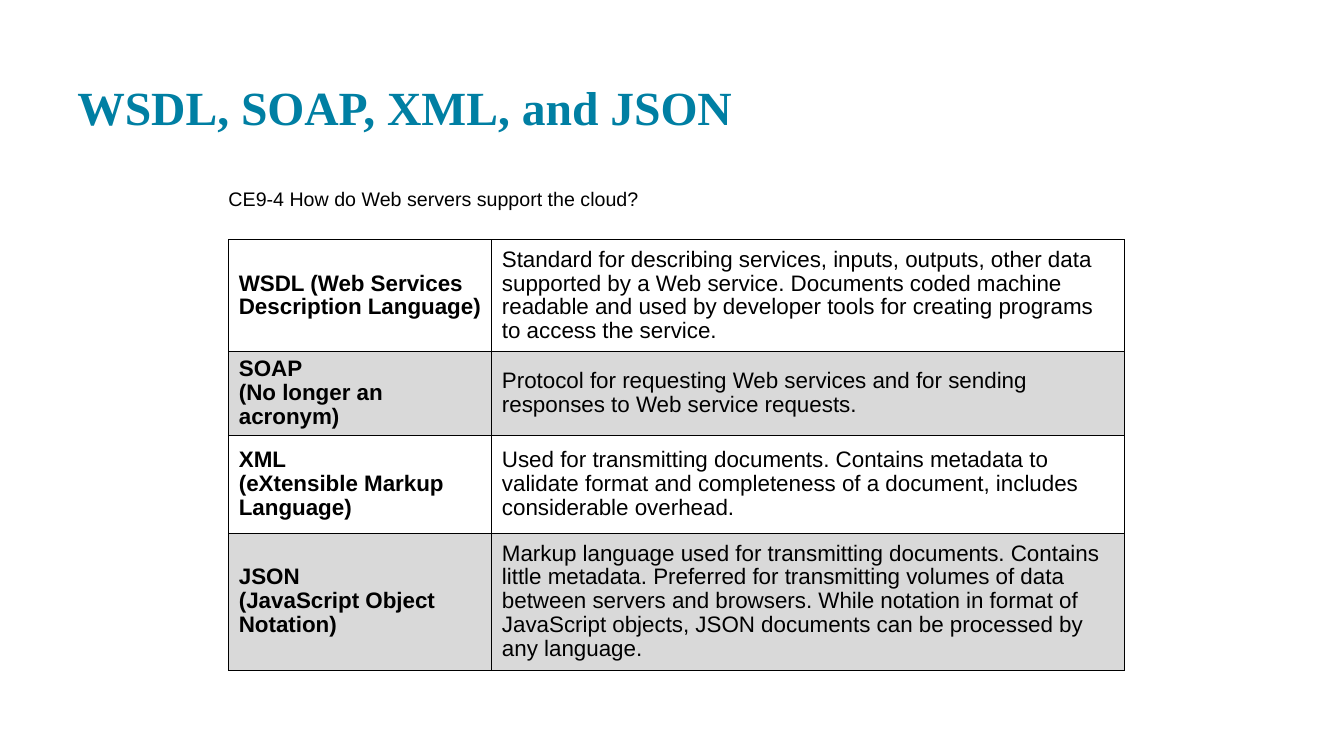
"""Build a slide that defines WSDL, SOAP, XML and JSON in a table."""
import lxml.etree
import pptx
import pptx.dml.color
import pptx.enum.text
import pptx.oxml
import pptx.oxml.ns
import pptx.util

COLORS = {"title": "007FA3", "text": "000000", "band": "D9D9D9", "border": "000000"}
COLUMNS, ROWS = 80, 45
DEFINITIONS = [
    ("WSDL (Web Services\nDescription Language)",
     "Standard for describing services, inputs, outputs, other data supported by a Web service. "
     "Documents coded machine readable and used by developer tools for creating programs to access "
     "the service."),
    ("SOAP\n(No longer an acronym)",
     "Protocol for requesting Web services and for sending responses to Web service requests."),
    ("XML\n(eXtensible Markup Language)",
     "Used for transmitting documents. Contains metadata to validate format and completeness of a "
     "document, includes considerable overhead."),
    ("JSON\n(JavaScript Object Notation)",
     "Markup language used for transmitting documents. Contains little metadata. Preferred for "
     "transmitting volumes of data between servers and browsers. While notation in format of "
     "JavaScript objects, JSON documents can be processed by any language."),
]


class SlideBuilder:
    """Hold the style and the current slide."""

    def __init__(self, presentation):
        self.column = presentation.slide_width / COLUMNS
        self.row = presentation.slide_height / ROWS
        self.slide = presentation.slides.add_slide(presentation.slide_layouts[1])

    def box(self, left, top, width, height):
        return (round(left * self.column), round(top * self.row),
                round(width * self.column), round(height * self.row))

    def format_text(self, text_frame, font, size, color, bold=False, spacing=1.0):
        for paragraph in text_frame.paragraphs:
            paragraph.alignment = pptx.enum.text.PP_ALIGN.LEFT
            paragraph.line_spacing = spacing
            paragraph.space_before = pptx.util.Pt(0)
            for run in paragraph.runs:
                run.font.name = font
                run.font.size = pptx.util.Pt(size)
                run.font.bold = bold
                run.font.color.rgb = pptx.dml.color.RGBColor.from_string(COLORS[color])

    def placeholder(self, index, text, box, anchor, **style):
        shape = self.slide.placeholders[index]
        shape.left, shape.top, shape.width, shape.height = self.box(*box)
        text_frame = shape.text_frame
        text_frame.text = text
        text_frame.word_wrap = True
        text_frame.auto_size = pptx.enum.text.MSO_AUTO_SIZE.NONE
        text_frame.vertical_anchor = anchor
        for side in ("left", "right", "top", "bottom"):
            setattr(text_frame, f"margin_{side}", pptx.util.Inches(0.1))
        self.format_text(text_frame, **style)
        return shape

    def title(self, text, box):
        self.placeholder(0, text, box, pptx.enum.text.MSO_ANCHOR.BOTTOM,
                         font="Times New Roman", size=34, color="title", bold=True)

    def subtitle(self, text, box):
        shape = self.placeholder(1, text, box, pptx.enum.text.MSO_ANCHOR.TOP,
                                 font="Arial", size=14, color="text")
        properties = shape.text_frame.paragraphs[0]._p.get_or_add_pPr()
        properties.set("marL", "0")
        properties.set("indent", "0")
        lxml.etree.SubElement(properties, pptx.oxml.ns.qn("a:buNone"))

    def border(self, cell):
        properties = cell._tc.get_or_add_tcPr()
        for side in ("lnL", "lnR", "lnT", "lnB"):
            properties.append(pptx.oxml.parse_xml(
                f'<a:{side} {pptx.oxml.ns.nsdecls("a")} w="{pptx.util.Pt(1)}"><a:solidFill>'
                f'<a:srgbClr val="{COLORS["border"]}"/></a:solidFill></a:{side}>'))

    def table(self, records, left, top, widths, heights):
        frame = self.slide.shapes.add_table(
            len(heights), len(widths), *self.box(left, top, sum(widths), sum(heights)))
        table = frame.table
        table.first_row = table.horz_banding = False
        for column, width in zip(table.columns, widths):
            column.width = round(width * self.column)
        for row, height in zip(table.rows, heights):
            row.height = round(height * self.row)
        for row_index, record in enumerate(records):
            for column_index, text in enumerate(record):
                cell = table.cell(row_index, column_index)
                cell.text_frame.text = text
                cell.vertical_anchor = pptx.enum.text.MSO_ANCHOR.MIDDLE
                cell.margin_left = pptx.util.Inches(0.1)
                cell.margin_right = pptx.util.Inches(0.08)
                self.format_text(cell.text_frame, "Arial", 16, "text",
                                 bold=column_index == 0, spacing=0.96)
                self.border(cell)
                if row_index % 2:
                    cell.fill.solid()
                    cell.fill.fore_color.rgb = pptx.dml.color.RGBColor.from_string(COLORS["band"])
                else:
                    cell.fill.background()


def main():
    presentation = pptx.Presentation()
    presentation.slide_width = pptx.util.Inches(13.33)
    presentation.slide_height = pptx.util.Inches(7.5)
    builder = SlideBuilder(presentation)
    builder.title("WSDL, SOAP, XML, and JSON", (4, 1.44, 72, 7.2))
    builder.subtitle("CE9-4 How do Web servers support the cloud?", (13, 10.5, 54, 3.3))
    builder.table(DEFINITIONS, left=13.62, top=14.28, widths=(15.66, 37.68),
                  heights=(6.66, 4.98, 5.82, 8.16))
    presentation.save("out.pptx")


if __name__ == "__main__":
    main()
